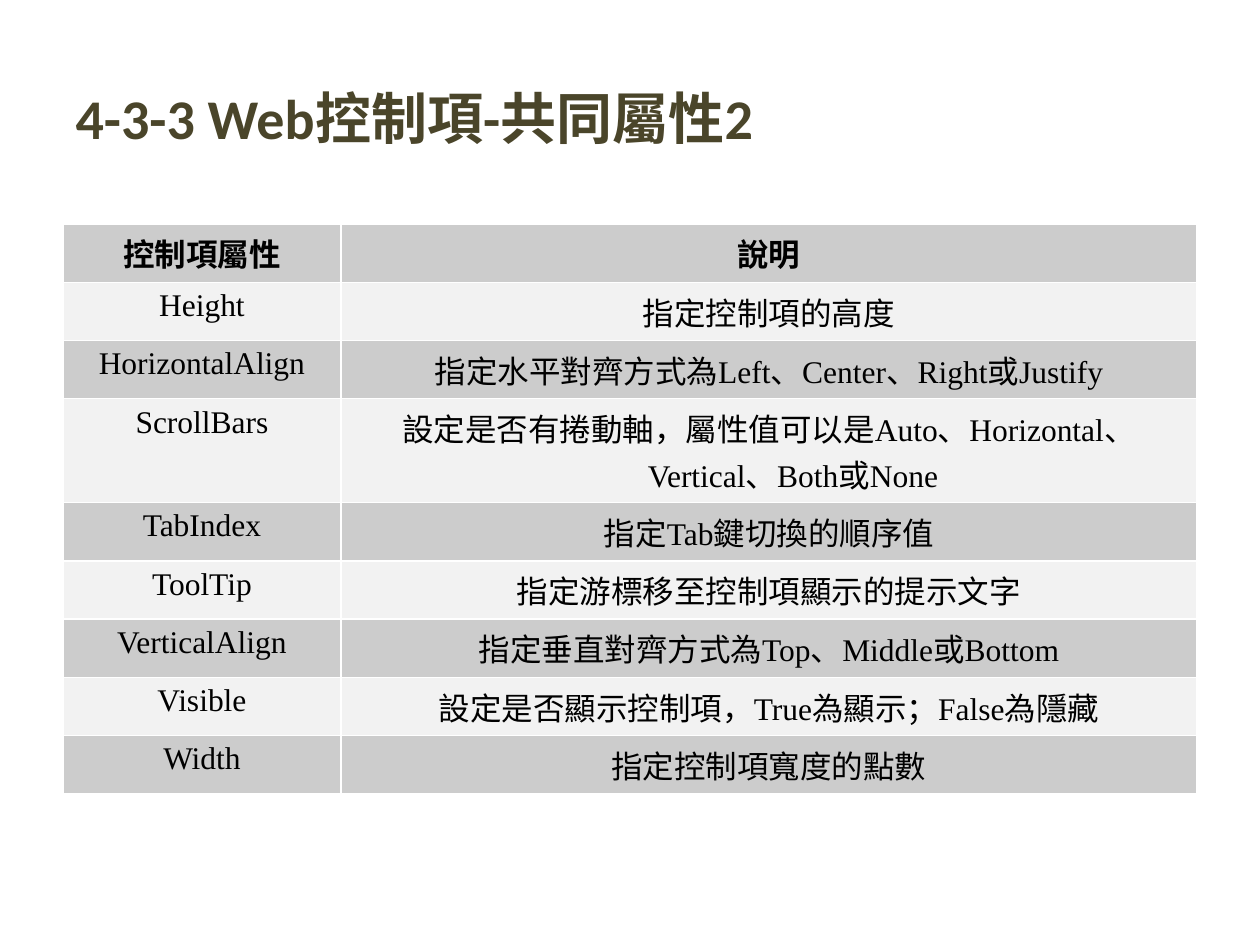
from dataclasses import dataclass
from lxml.etree import SubElement
from pptx import Presentation
from pptx.dml.color import RGBColor
from pptx.enum.text import MSO_ANCHOR, MSO_AUTO_SIZE, PP_ALIGN
from pptx.oxml.ns import qn
from pptx.slide import Slide
from pptx.util import Pt

EMU_PER_PX = 914400 / 126

ROWS = [
    ("控制項屬性", "說明"),
    ("Height", "指定控制項的高度"),
    ("HorizontalAlign", "指定水平對齊方式為Left、Center、Right或Justify"),
    ("ScrollBars", "設定是否有捲動軸，屬性值可以是Auto、Horizontal、Vertical、Both或None"),
    ("TabIndex", "指定Tab鍵切換的順序值"),
    ("ToolTip", "指定游標移至控制項顯示的提示文字"),
    ("VerticalAlign", "指定垂直對齊方式為Top、Middle或Bottom"),
    ("Visible", "設定是否顯示控制項，True為顯示；False為隱藏"),
    ("Width", "指定控制項寬度的點數"),
]
COLUMN_WIDTHS = [278, 856]
ROW_HEIGHTS = [88 if name == "ScrollBars" else 50 for name, _ in ROWS]


def px(length):
    """Convert whole pixels to EMU."""
    return round(length * EMU_PER_PX)


def color(value):
    """Convert a hex string to a colour."""
    return RGBColor.from_string(value)


@dataclass
class SlideBuilder:
    """Hold the style and the current slide."""

    slide: Slide
    title_font: str = "Calibri"
    body_font: str = "Times New Roman"
    title_color: str = "4A452A"
    text_color: str = "000000"
    band_colors: tuple = ("CCCCCC", "F2F2F2")
    border_color: str = "FFFFFF"
    border_width: float = 0.96

    def format_runs(self, paragraph, font_name, size, font_color, bold):
        """Format every run of a paragraph."""
        for run in paragraph.runs:
            run.font.name = font_name
            run.font.size = Pt(size)
            run.font.bold = bold
            run.font.color.rgb = color(font_color)

    def title(self, text, left, top, width, height):
        """Place and format the title placeholder."""
        shape = self.slide.shapes.title
        shape.left, shape.top = px(left), px(top)
        shape.width, shape.height = px(width), px(height)
        text_frame = shape.text_frame
        text_frame.text = text
        text_frame.auto_size = MSO_AUTO_SIZE.NONE
        text_frame.vertical_anchor = MSO_ANCHOR.MIDDLE
        paragraph = text_frame.paragraphs[0]
        paragraph.alignment = PP_ALIGN.LEFT
        self.format_runs(paragraph, self.title_font, 32, self.title_color, True)

    def borders(self, cell):
        """Draw a thin line on each side of a cell."""
        properties = cell._tc.get_or_add_tcPr()
        for side in ("lnL", "lnR", "lnT", "lnB"):
            line = SubElement(properties, qn(f"a:{side}"), w=str(Pt(self.border_width)))
            fill = SubElement(line, qn("a:solidFill"))
            SubElement(fill, qn("a:srgbClr"), val=self.border_color)

    def cell(self, cell, text, band_color, bold):
        """Fill one table cell with centred, hanging text."""
        self.borders(cell)
        cell.fill.solid()
        cell.fill.fore_color.rgb = color(band_color)
        cell.vertical_anchor = MSO_ANCHOR.TOP
        cell.text_frame.text = text
        paragraph = cell.text_frame.paragraphs[0]
        paragraph.alignment = PP_ALIGN.CENTER
        properties = paragraph._p.get_or_add_pPr()
        properties.set("marL", str(px(48)))
        properties.set("indent", str(px(-48)))
        self.format_runs(paragraph, self.body_font, 18, self.text_color, bold)

    def table(self, rows, left, top, column_widths, row_heights):
        """Add a banded table with a bold header row."""
        table = self.slide.shapes.add_table(
            len(rows), len(column_widths), px(left), px(top),
            px(sum(column_widths)), px(sum(row_heights))).table
        for column, width in zip(table.columns, column_widths):
            column.width = px(width)
        for index, texts in enumerate(rows):
            table.rows[index].height = px(row_heights[index])
            for cell, text in zip(table.rows[index].cells, texts):
                self.cell(cell, text, self.band_colors[index % 2], index == 0)


def main():
    """Build and save the presentation."""
    presentation = Presentation()
    presentation.slide_width, presentation.slide_height = px(1260), px(945)
    builder = SlideBuilder(presentation.slides.add_slide(presentation.slide_layouts[5]))
    builder.title("4-3-3 Web控制項-共同屬性2", 63, 38, 1134, 158)
    builder.table(ROWS, 63, 224, COLUMN_WIDTHS, ROW_HEIGHTS)
    presentation.save("out.pptx")


if __name__ == "__main__":
    main()
